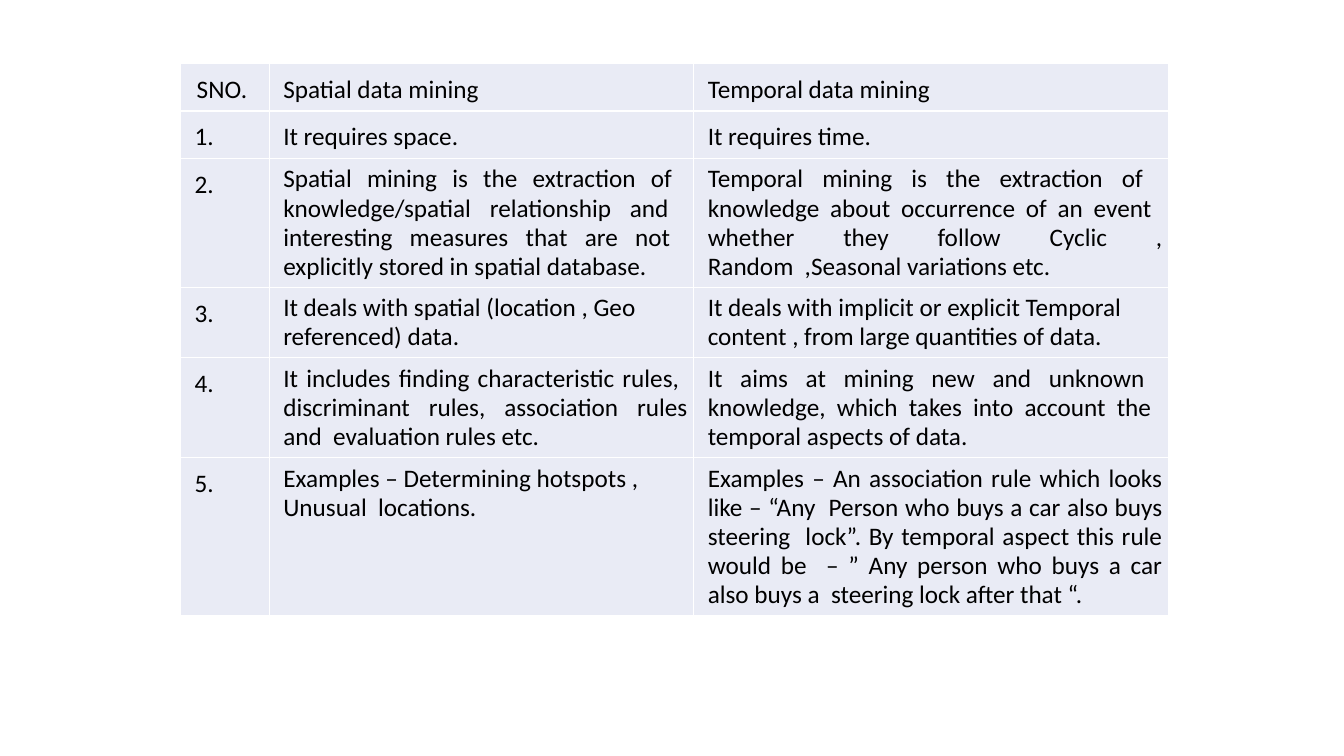
from pptx import Presentation
from pptx.dml.color import RGBColor
from pptx.enum.text import PP_ALIGN as Align
from pptx.oxml import parse_xml
from pptx.oxml.ns import nsdecls
from pptx.util import Inches, Pt

LEFT, CENTER, JUSTIFY = Align.LEFT, Align.CENTER, Align.JUSTIFY
TALL, TIGHT = 1.15, 0.95  # line spacing

COLUMN_WIDTHS = [0.88, 4.21, 4.71]
ROW_HEIGHTS = [0.39, 0.39, 0.95, 0.55, 0.75, 1.36]

# Each row: number, spatial, temporal, line spacing, alignment of the two texts
COMPARISON = [
    ("SNO. ", "Spatial data mining", "Temporal data mining", TALL, LEFT, LEFT),
    ("1.", "It requires space.", "It requires time.", TALL, LEFT, LEFT),
    ("2.",
     "Spatial mining is the extraction of  knowledge/spatial relationship and  "
     "interesting measures that are not  explicitly stored in spatial database.",
     "Temporal mining is the extraction of  knowledge about occurrence of an event  "
     "whether they follow Cyclic , Random  ,Seasonal variations etc.",
     TIGHT, JUSTIFY, JUSTIFY),
    ("3.",
     "It deals with spatial (location , Geo referenced) data.",
     "It deals with implicit or explicit Temporal  content , "
     "from large quantities of data.",
     TIGHT, LEFT, LEFT),
    ("4.",
     "It includes finding characteristic rules,  discriminant rules, "
     "association rules and  evaluation rules etc.",
     "It aims at mining new and unknown  knowledge, which takes into account the  "
     "temporal aspects of data.",
     TIGHT, JUSTIFY, JUSTIFY),
    ("5.",
     "Examples – Determining hotspots , Unusual  locations.",
     "Examples – An association rule which looks like – “Any  Person who buys a car "
     "also buys steering  lock”. By temporal aspect this rule would be  – ” Any person "
     "who buys a car also buys a  steering lock after that “.",
     TIGHT, LEFT, JUSTIFY),
]


def color(hex_text):
    return RGBColor.from_string(hex_text)


class TableSlide:
    font, size, ink = "Calibri", 18, "000000"
    cell_fill, border = "E9EBF5", "FFFFFF"
    inset = Inches(0.06)

    def __init__(self, presentation):
        self.slide = presentation.slides.add_slide(presentation.slide_layouts[6])

    def table(self, left, top, height, widths, heights):
        frame = self.slide.shapes.add_table(
            len(heights), len(widths), Inches(left), Inches(top),
            Inches(sum(widths)), Inches(height))
        grid = frame.table
        grid.first_row = grid.horz_banding = False
        for column, width in zip(grid.columns, widths):
            column.width = Inches(width)
        for row, row_height in zip(grid.rows, heights):
            row.height = Inches(row_height)
        frame.height = Inches(height)
        return grid

    def cell(self, cell, text, spacing, align, indent):
        cell.margin_left = cell.margin_right = self.inset
        cell.margin_top = cell.margin_bottom = self.inset
        # Borders come before the fill in the cell properties
        properties = cell._tc.get_or_add_tcPr()
        for side in ("lnL", "lnR", "lnT", "lnB"):
            properties.append(parse_xml(
                f'<a:{side} {nsdecls("a")} w="{Pt(1)}"><a:solidFill>'
                f'<a:srgbClr val="{self.border}"/></a:solidFill></a:{side}>'))
        cell.fill.solid()
        cell.fill.fore_color.rgb = color(self.cell_fill)

        paragraph = cell.text_frame.paragraphs[0]
        paragraph.alignment = align
        paragraph.line_spacing = spacing
        paragraph._p.get_or_add_pPr().set("marL", str(Inches(indent)))
        run = paragraph.add_run()
        run.text = text
        run.font.name, run.font.size = self.font, Pt(self.size)
        run.font.color.rgb = color(self.ink)


def main():
    presentation = Presentation()
    presentation.slide_width, presentation.slide_height = Inches(13.33), Inches(7.5)
    page = TableSlide(presentation)

    # Comparison of spatial and temporal data mining
    grid = page.table(1.79, 0.63, 5.33, COLUMN_WIDTHS, ROW_HEIGHTS)
    for index, entry in enumerate(COMPARISON):
        number, spatial, temporal, spacing, spatial_align, temporal_align = entry
        is_header = index == 0
        page.cell(grid.cell(index, 0), number, TALL,
                  CENTER if is_header else LEFT, 0 if is_header else 0.08)
        page.cell(grid.cell(index, 1), spatial, spacing, spatial_align, 0.08)
        page.cell(grid.cell(index, 2), temporal, spacing, temporal_align, 0.08)

    presentation.save("out.pptx")


if __name__ == "__main__":
    main()
